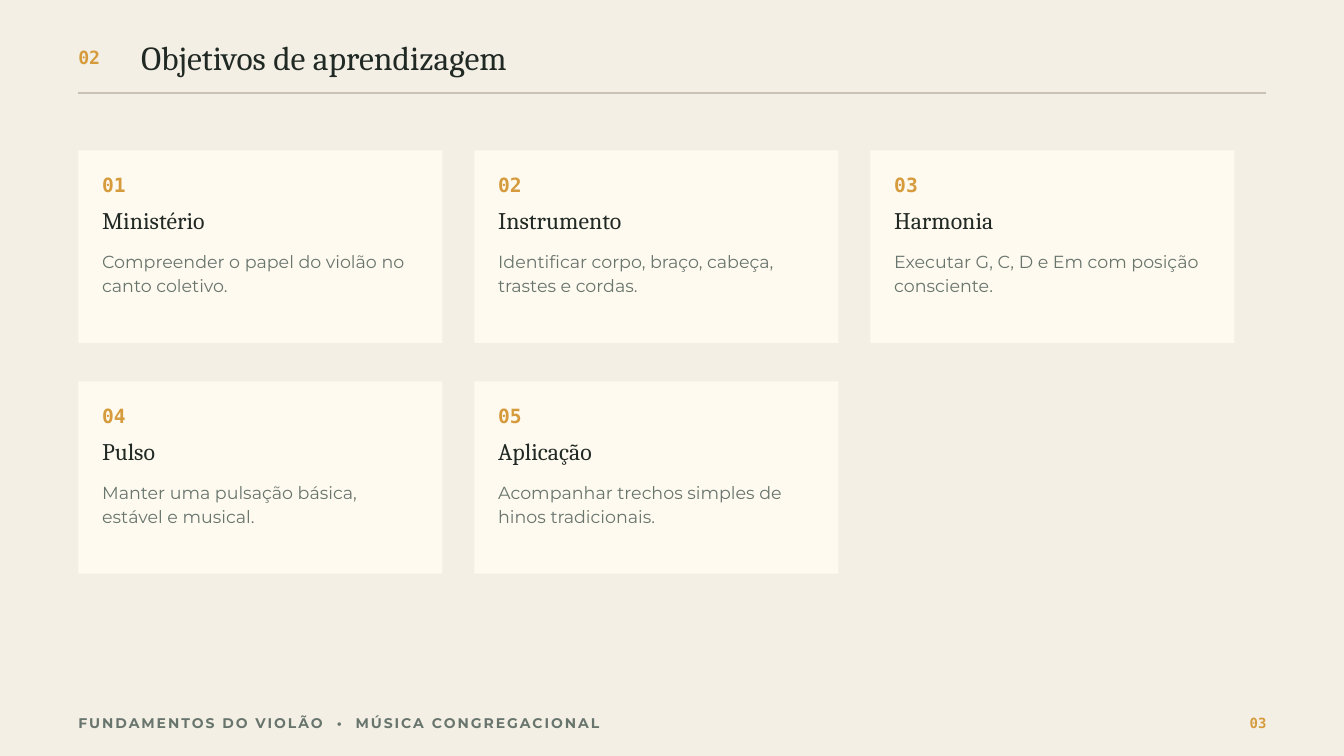
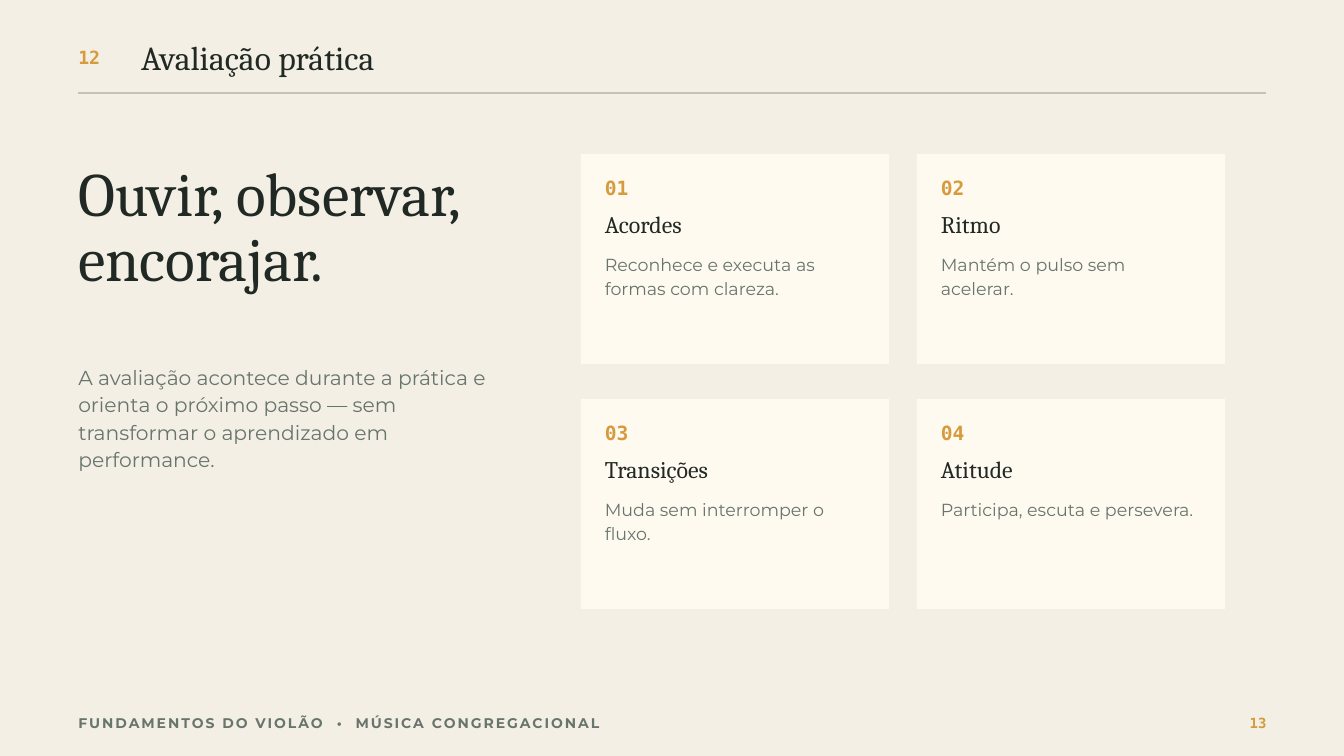
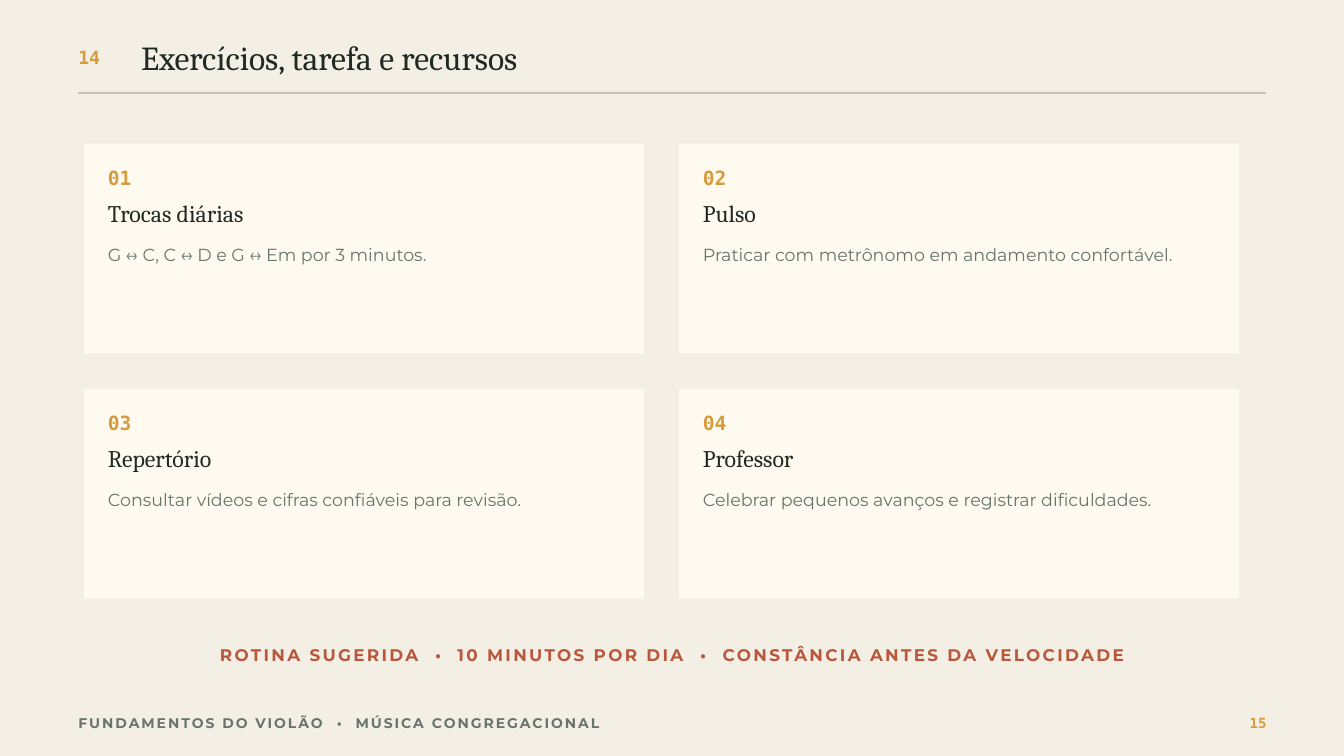
from pptx import Presentation
from pptx.dml.color import RGBColor
from pptx.enum.shapes import MSO_CONNECTOR, MSO_SHAPE
from pptx.enum.text import MSO_ANCHOR, MSO_AUTO_SIZE, PP_ALIGN
from pptx.oxml.ns import qn
from pptx.util import Cm, Pt
from lxml.etree import SubElement

PAPER, CREAM, RULE = "F4EFE5", "FFFAF0", "C9C2B4"
INK, SAGE, GOLD, RUST = "202923", "68756D", "D59B3D", "B8573C"
SERIF, MONO, SANS = "Cambria", "DejaVu Sans Mono", "Montserrat"
LEFT, RIGHT = 2.96, 47.84
PAD = 0.9
FOOTER = "FUNDAMENTOS DO VIOLÃO • MÚSICA CONGREGACIONAL"


def hue(code):
    return RGBColor.from_string(code)


def look(name, size, color, lead, bold=False, align=PP_ALIGN.LEFT, track=0):
    return {
        "font": {"name": name, "size": Pt(size), "bold": bold},
        "para": {"line_spacing": Pt(lead), "alignment": align},
        "color": color,
        "track": track,
        "gap": track and track + 0.28 * size + track,
    }


class Deck:
    looks = {
        "section": look(MONO, 19.5, GOLD, 27.3, True),
        "title": look(SERIF, 36, INK, 37.4),
        "number": look(MONO, 21, GOLD, 29.4, True),
        "name": look(SERIF, 25.5, INK, 26.5),
        "body": look(SANS, 18.75, SAGE, 25.3),
        "hero": look(SERIF, 66, INK, 68.6),
        "lead": look(SANS, 21.75, SAGE, 29.4),
        "note": look(SANS, 18, RUST, 25.2, True, PP_ALIGN.CENTER, 2.5),
        "footer": look(SANS, 15, SAGE, 21, True, track=2.1),
        "page": look(MONO, 15, GOLD, 21, True, PP_ALIGN.RIGHT),
    }
    frame = {
        "margin_left": 0, "margin_top": 0, "margin_right": 0, "margin_bottom": 0,
        "word_wrap": True, "vertical_anchor": MSO_ANCHOR.TOP,
        "auto_size": MSO_AUTO_SIZE.SHAPE_TO_FIT_TEXT,
    }

    def __init__(self):
        self.file = Presentation()
        self.file.slide_width, self.file.slide_height = Cm(50.8), Cm(28.58)
        fill = self.file.slide_master.background.fill
        fill.solid()
        fill.fore_color.rgb = hue(PAPER)
        self.slide = None

    def apply(self, target, values):
        for key, value in values.items():
            setattr(target, key, value)

    def add(self, para, text, style, track):
        run = para.add_run()
        run.text = text
        self.apply(run.font, style["font"])
        run.font.color.rgb = hue(style["color"])
        if track:
            run._r.get_or_add_rPr().set("spc", str(round(track * 100)))

    def fill(self, box, text, kind):
        style = self.looks[kind]
        frame = box.text_frame
        self.apply(frame, self.frame)
        for row, line in enumerate(text.split("\n")):
            para = frame.add_paragraph() if row else frame.paragraphs[0]
            self.apply(para, style["para"])
            for part, words in enumerate(line.split(" •")):
                if part:
                    self.add(para, " •", style, style["gap"])
                self.add(para, words, style, style["track"])

    def text(self, x, y, w, h, text, kind):
        box = self.slide.shapes.add_textbox(Cm(x), Cm(y), Cm(w), Cm(h))
        self.fill(box, text, kind)

    def title(self, text):
        box = self.slide.shapes.title
        self.apply(box, {"left": Cm(5.33), "top": Cm(1.6),
                         "width": Cm(38.35), "height": Cm(1.37)})
        self.fill(box, text, "title")

    def rule(self, y):
        line = self.slide.shapes.add_connector(
            MSO_CONNECTOR.STRAIGHT, Cm(LEFT), Cm(y), Cm(RIGHT), Cm(y))
        line.line.color.rgb = hue(RULE)
        line.line.width = Pt(2)
        SubElement(line._element.spPr, qn("a:effectLst"))

    def page(self, number, title):
        layout = self.file.slide_layouts.get_by_name("Title Only")
        self.slide = self.file.slides.add_slide(layout)
        self.text(LEFT, 1.63, 1.85, 0.89, f"{number - 1:02}", "section")
        self.title(title)
        self.rule(3.51)
        self.text(LEFT, 26.9, 23.83, 0.74, FOOTER, "footer")
        self.text(46.02, 26.92, 1.85, 0.71, f"{number:02}", "page")

    def card(self, x, y, w, h, number, name, body):
        panel = self.slide.shapes.add_shape(
            MSO_SHAPE.RECTANGLE, Cm(x), Cm(y), Cm(w), Cm(h))
        panel.shadow.inherit = False
        panel.fill.solid()
        panel.fill.fore_color.rgb = hue(CREAM)
        panel.line.fill.background()
        wide = w - 2 * PAD
        self.text(x + PAD, y + 0.69, 1.85, 0.99, f"{number:02}", "number")
        self.text(x + PAD, y + 2.24, wide, 0.99, name, "name")
        self.text(x + PAD, y + 3.7, wide, 1.7, body, "body")

    def grid(self, x, y, w, h, across, down, cols, cards):
        for spot, (name, body) in enumerate(cards):
            row, col = divmod(spot, cols)
            self.card(x + col * (w + across), y + row * (h + down), w, h,
                      spot + 1, name, body)


def main():
    deck = Deck()

    deck.page(3, "Objetivos de aprendizagem")
    deck.grid(LEFT, 5.69, 13.76, 7.27, 1.21, 1.46, 3, [
        ("Ministério", "Compreender o papel do violão no canto coletivo."),
        ("Instrumento", "Identificar corpo, braço, cabeça, trastes e cordas."),
        ("Harmonia", "Executar G, C, D e Em com posição consciente."),
        ("Pulso", "Manter uma pulsação básica, estável e musical."),
        ("Aplicação", "Acompanhar trechos simples de hinos tradicionais."),
    ])

    deck.page(13, "Avaliação prática")
    deck.text(LEFT, 6.25, 17.2, 4.9, "Ouvir, observar,\nencorajar.", "hero")
    deck.text(LEFT, 13.69, 16.13, 4.09,
              "A avaliação acontece durante a prática e orienta o próximo passo "
              "— sem transformar o aprendizado em performance.", "lead")
    deck.grid(21.96, 5.82, 11.64, 7.94, 1.06, 1.32, 2, [
        ("Acordes", "Reconhece e executa as formas com clareza."),
        ("Ritmo", "Mantém o pulso sem acelerar."),
        ("Transições", "Muda sem interromper o fluxo."),
        ("Atitude", "Participa, escuta e persevera."),
    ])

    deck.page(15, "Exercícios, tarefa e recursos")
    deck.grid(3.18, 5.43, 21.17, 7.94, 1.32, 1.32, 2, [
        ("Trocas diárias", "G ↔ C, C ↔ D e G ↔ Em por 3 minutos."),
        ("Pulso", "Praticar com metrônomo em andamento confortável."),
        ("Repertório", "Consultar vídeos e cifras confiáveis para revisão."),
        ("Professor", "Celebrar pequenos avanços e registrar dificuldades."),
    ])
    deck.text(4.5, 24.23, 41.81, 0.86,
              "ROTINA SUGERIDA • 10 MINUTOS POR DIA • "
              "CONSTÂNCIA ANTES DA VELOCIDADE", "note")

    deck.file.save("out.pptx")


if __name__ == "__main__":
    main()
